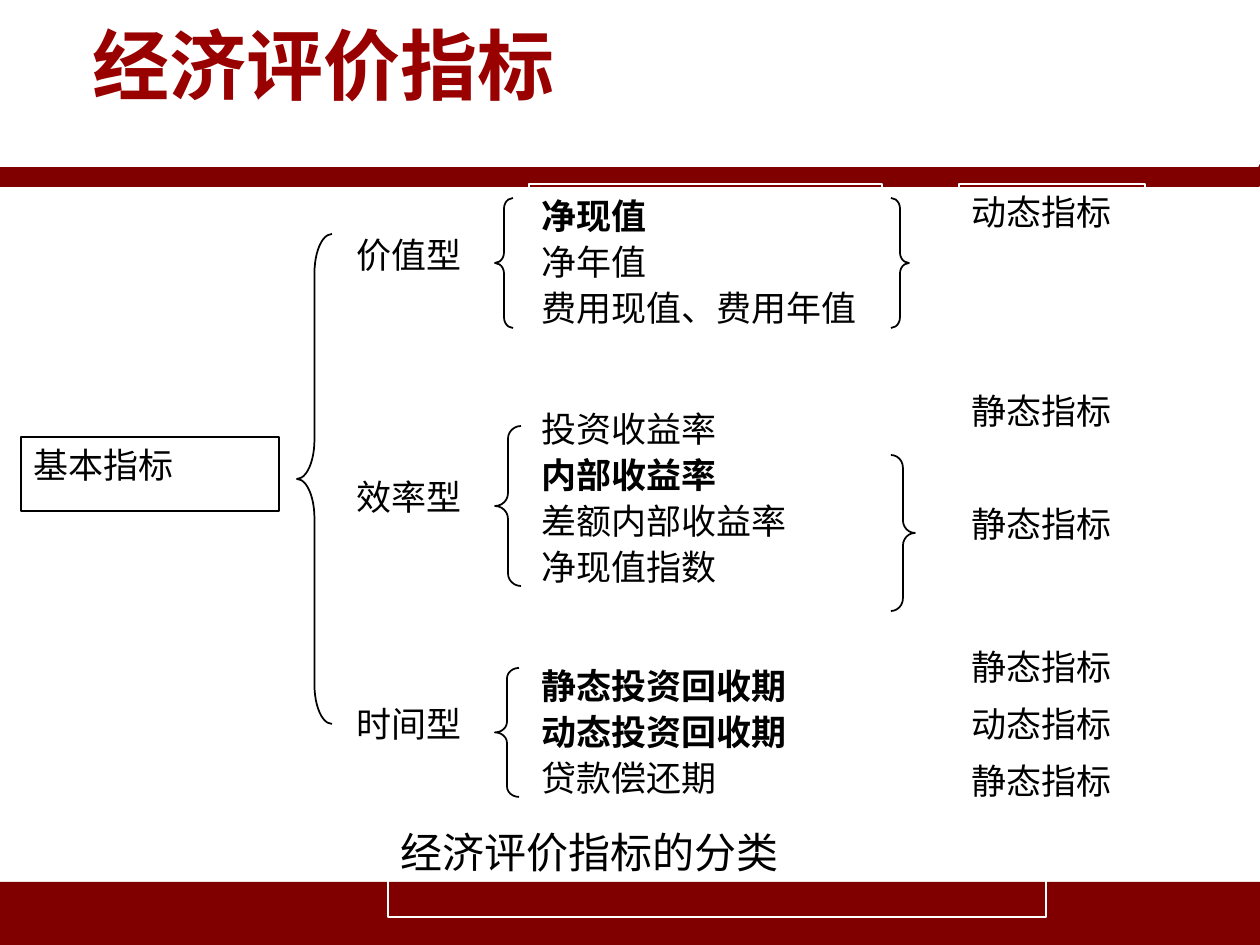
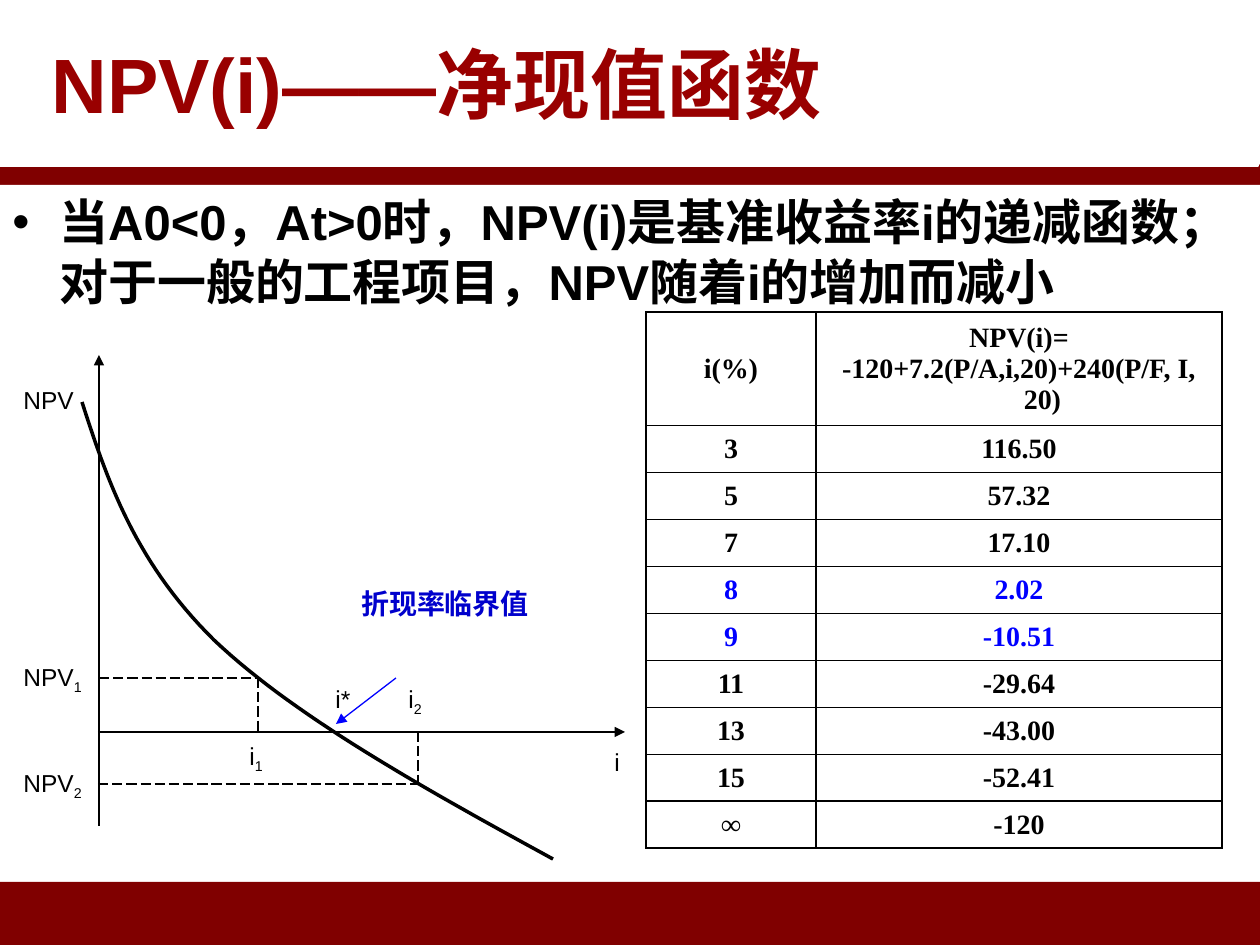
import pptx
import pptx.dml.color
import pptx.enum.dml
import pptx.enum.shapes
import pptx.enum.text
import pptx.oxml
import pptx.oxml.ns
import pptx.util

EMU_PER_PX = 914400 / 126
COLORS = {"band": "800000", "title": "990000", "paper": "FFFFFF", "ink": "000000",
          "blue": "0000FF", "note": "0000CC"}
SANS, SERIF, CJK = "Arial", "Times New Roman", "Noto Sans CJK SC"
SHAPES = pptx.enum.shapes.MSO_SHAPE
ALIGN = pptx.enum.text.PP_ALIGN
ANCHOR = pptx.enum.text.MSO_ANCHOR
TITLE = {"name": SANS, "size": 44, "bold": True, "color": "title"}
DIAGRAM = {"name": SERIF, "size": 20, "bold": False, "color": "ink"}
LABEL = {"name": SANS, "size": 14, "bold": False, "color": "ink"}


def px(value):
    """Turn px into EMU."""
    return pptx.util.Emu(round(value * EMU_PER_PX))


def rgb(name):
    """Give the named colour."""
    return pptx.dml.color.RGBColor.from_string(COLORS[name])


def add_xml(parent, tag, content="", **attributes):
    """Append a drawing element to its parent."""
    pairs = "".join(f' {key}="{value}"' for key, value in attributes.items())
    parent.append(pptx.oxml.parse_xml(
        f'<a:{tag} {pptx.oxml.ns.nsdecls("a")}{pairs}>{content}</a:{tag}>'))


def style_font(run, style):
    """Set the font of a run, with its East Asian face."""
    values = {"name": style["name"], "size": pptx.util.Pt(style["size"]), "bold": style["bold"]}
    for attribute, value in values.items():
        setattr(run.font, attribute, value)
    run.font.color.rgb = rgb(style["color"])
    add_xml(run.font._element, "ea", typeface=CJK)


def write(frame, lines, style, spacing=None, align=ALIGN.LEFT, anchor=ANCHOR.TOP):
    """Write lines, each a text or a text with font changes, into a text frame."""
    frame.word_wrap = True
    frame.vertical_anchor = anchor
    for index, line in enumerate(lines):
        text, changes = line if isinstance(line, tuple) else (line, {})
        paragraph = frame.add_paragraph() if index else frame.paragraphs[0]
        paragraph.alignment = align
        if spacing:
            paragraph.line_spacing = pptx.util.Pt(spacing)
        run = paragraph.add_run()
        run.text = text
        style_font(run, {**style, **changes})


def add_shape(slide, kind, box, fill=None, line=None, width=1.0):
    """Add a flat preset shape."""
    shape = slide.shapes.add_shape(kind, *map(px, box))
    shape.shadow.inherit = False
    paint(shape, fill, line, width)
    return shape


def paint(shape, fill, line, width):
    """Set the fill and outline of a shape."""
    for part, color in ((shape.fill, fill), (shape.line.fill, line)):
        if color:
            part.solid()
            part.fore_color.rgb = rgb(color)
        else:
            part.background()
    if line:
        shape.line.width = pptx.util.Pt(width)


def add_bands(slide):
    """Draw the shared bands and move them to the layout."""
    layout = slide.slide_layout
    for placeholder in list(layout.placeholders):
        if placeholder.placeholder_format.idx:
            layout.shapes.element.remove(placeholder.element)
    bands = [((0, 882, 1260, 63), "band", None), ((-1, 165, 1260, 21), "band", "band"),
             ((-2, 1, 1260, 165), "paper", "paper")]
    for index, (box, fill, line) in enumerate(bands):
        band = add_shape(slide, SHAPES.RECTANGLE, box, fill, line, 0.75)
        layout.shapes.element.insert(2 + index, band.element)


def add_title(slide, text, box):
    """Place and format the title placeholder."""
    title = slide.shapes.title
    for attribute, value in zip(("left", "top", "width", "height"), box):
        setattr(title, attribute, px(value))
    title.text_frame.auto_size = pptx.enum.text.MSO_AUTO_SIZE.NONE
    write(title.text_frame, [text], TITLE, anchor=ANCHOR.MIDDLE)


def add_classification(slide, left, top):
    """Draw the tree of indicators from its top left corner."""
    strong, cjk = {"bold": True}, {"name": CJK}
    entries = [
        ((0, 253, 258, 74), "ink", ["基本指标"]),
        ((323, 43, 132, 55), "paper", ["价值型"]),
        ((323, 285, 175, 57), "paper", ["效率型"]),
        ((323, 512, 137, 68), "paper", ["时间型"]),
        ((508, 0, 353, 147), "paper", [("净现值", strong), "净年值", ("费用现值、费用年值", cjk)]),
        ((508, 213, 302, 199), "paper",
         ["投资收益率", ("内部收益率", strong), "差额内部收益率", "净现值指数"]),
        ((508, 470, 297, 147), "paper",
         [("静态投资回收期", strong), ("动态投资回收期", strong), "贷款偿还期"]),
        ((938, 0, 186, 71), "paper", ["动态指标"]),
        ((938, 199, 209, 57), "paper", ["静态指标"]),
        ((938, 312, 198, 71), "paper", ["静态指标"]),
        ((938, 455, 186, 55), "paper", ["静态指标"]),
        ((938, 512, 227, 55), "paper", ["动态指标"]),
        ((938, 569, 209, 57), "paper", ["静态指标"]),
        ((367, 636, 658, 97), "paper", [("经济评价指标的分类", {"name": CJK, "size": 24})]),
    ]
    for (x, y, width, height), line, lines in entries:
        size = 24 if "分类" in lines[0][0] else 20
        box = add_shape(slide, SHAPES.RECTANGLE, (left + x, top + y, width, height), line=line)
        spacing = 26.3 if len(lines) > 1 else size * 1.2
        write(box.text_frame, lines, DIAGRAM, spacing)
    braces = [
        (SHAPES.LEFT_BRACE, (276, 50, 35, 490), 1.125),
        (SHAPES.LEFT_BRACE, (474, 14, 18, 130), 0.59),
        (SHAPES.LEFT_BRACE, (474, 242, 26, 160), 0.49),
        (SHAPES.LEFT_BRACE, (474, 484, 24, 129), 0.44),
        (SHAPES.RIGHT_BRACE, (870, 14, 18, 130), 0.59),
        (SHAPES.RIGHT_BRACE, (870, 271, 24, 156), 0.53),
    ]
    for kind, (x, y, width, height), curl in braces:
        brace = add_shape(slide, kind, (left + x, top + y, width, height), line="ink")
        brace.adjustments[0] = curl


def add_statement(slide, text, box):
    """Add the bulleted statement."""
    shape = add_shape(slide, SHAPES.RECTANGLE, box, "paper")
    properties = shape.text_frame.paragraphs[0]._p.get_or_add_pPr()
    hang(properties)
    add_xml(properties, "buFont", typeface=SANS)
    add_xml(properties, "buChar", char="•")
    write(shape.text_frame, [text], {**TITLE, "size": 28, "color": "ink"}, 34)


def hang(properties):
    """Give a paragraph its hanging indent."""
    properties.set("marL", str(px(47)))
    properties.set("indent", str(-px(47)))


def add_line(slide, start, end, color="ink", dash=False, arrow=False):
    """Add a straight line, dashed or with an arrowhead."""
    line = slide.shapes.add_connector(pptx.enum.shapes.MSO_CONNECTOR.STRAIGHT,
                                      *map(px, (*start, *end)))
    line.line.color.rgb = rgb(color)
    line.line.width = pptx.util.Pt(0.75)
    if dash:
        line.line.dash_style = pptx.enum.dml.MSO_LINE.LONG_DASH
    if arrow:
        add_xml(line.line._get_or_add_ln(), "tailEnd", type="triangle")
    add_xml(line._element.spPr, "effectLst")


def bezier(points, steps=30):
    """Sample a cubic curve given by four points."""
    weights = (1, 3, 3, 1)
    for step in range(steps + 1):
        t = step / steps
        yield tuple(sum(weight * (1 - t) ** (3 - k) * t ** k * point[axis]
                        for k, (weight, point) in enumerate(zip(weights, points)))
                    for axis in (0, 1))


def add_curve(slide, left, top):
    """Draw the falling NPV curve."""
    controls = [(71, 47), (97, 128), (125, 208), (203, 285), (283, 361), (412, 433), (542, 504)]
    samples = [*bezier(controls[:4]), *bezier(controls[3:])]
    points = [(px(left + x), px(top + y)) for x, y in samples]
    builder = slide.shapes.build_freeform(*points[0])
    builder.add_line_segments(points[1:], close=False)
    curve = builder.convert_to_shape()
    curve.shadow.inherit = False
    paint(curve, None, "ink", 2)


def add_npv_plot(slide, left, top):
    """Draw the axes, curve, guides and labels of the NPV function."""
    lines = [
        ((87, 377), (614, 377), {"arrow": True}),
        ((88, 471), (88, 0), {"arrow": True}),
        ((88, 323), (247, 323), {"dash": True}),
        ((247, 323), (247, 377), {"dash": True}),
        ((87, 429), (408, 429), {"dash": True}),
        ((407, 377), (407, 429), {"dash": True}),
        ((385, 323), (325, 369), {"arrow": True, "color": "blue"}),
    ]
    for (x1, y1), (x2, y2), options in lines:
        add_line(slide, (left + x1, top + y1), (left + x2, top + y2), **options)
    add_curve(slide, left, top)
    labels = [("NPV", "", 0, 24), ("NPV", "1", 0, 301), ("NPV", "2", 0, 407), ("i", "1", 226, 380),
              ("i", "2", 385, 323), ("i*", "", 312, 323), ("i", "", 591, 386)]
    for text, subscript, x, y in labels:
        width = 87 if text == "NPV" else 44
        label = slide.shapes.add_textbox(*map(px, (left + x, top + y, width, 42)))
        write(label.text_frame, [text], LABEL)
        if subscript:
            run = label.text_frame.paragraphs[0].add_run()
            run.text = subscript
            style_font(run, LABEL)
            run.font._element.set("baseline", "-25000")
    note = slide.shapes.add_textbox(*map(px, (left + 325, top + 225, 218, 47)))
    write(note.text_frame, ["折现率临界值"], {**LABEL, "size": 16, "bold": True, "color": "note"},
          align=ALIGN.CENTER)


def add_npv_table(slide, left, top):
    """Add the table of NPV by discount rate."""
    rows = [("i(%)", "NPV(i)=\n-120+7.2(P/A,i,20)+240(P/F, I, 20)"), ("3", "116.50"),
            ("5", "57.32"), ("7", "17.10"), ("8", "2.02"), ("9", "-10.51"), ("11", "-29.64"),
            ("13", "-43.00"), ("15", "-52.41"), ("∞", "-120")]
    widths, header_height, row_height = (170, 406), 113, 47
    height = header_height + row_height * (len(rows) - 1)
    box = map(px, (left, top, sum(widths), height))
    table = slide.shapes.add_table(len(rows), len(widths), *box).table
    table.first_row = table.horz_banding = False
    for column, width in zip(table.columns, widths):
        column.width = px(width)
    for index, values in enumerate(rows):
        table.rows[index].height = px(row_height if index else header_height)
        color = "blue" if values[0] in ("8", "9") else "ink"
        style = {"name": SERIF, "size": 16, "bold": True, "color": color}
        for cell, text in zip(table.rows[index].cells, values):
            write(cell.text_frame, text.split("\n"), style, align=ALIGN.CENTER)
            cell.vertical_anchor = ANCHOR.MIDDLE
            for paragraph in cell.text_frame.paragraphs:
                hang(paragraph._p.get_or_add_pPr())
            properties = cell._tc.get_or_add_tcPr()
            for side in ("lnL", "lnR", "lnT", "lnB"):
                ink = f'<a:solidFill><a:srgbClr val="{COLORS["ink"]}"/></a:solidFill>'
                add_xml(properties, side, ink, w=12700)
            cell.fill.background()


def build_classification_slide(slide):
    """Build the slide of indicator types."""
    add_title(slide, "经济评价指标", (80, 32, 1054, 63))
    add_classification(slide, 21, 184)


def build_npv_slide(slide):
    """Build the slide of the NPV function."""
    add_title(slide, "NPV(i)——净现值函数", (39, 1, 1126, 163))
    add_statement(slide, "当A0<0，At>0时，NPV(i)是基准收益率i的递减函数；"
                         "对于一般的工程项目，NPV随着i的增加而减小", (0, 185, 1260, 687))
    add_npv_plot(slide, 11, 355)
    add_npv_table(slide, 646, 312)


def main():
    """Build and save the presentation."""
    presentation = pptx.Presentation()
    presentation.slide_width, presentation.slide_height = px(1260), px(945)
    layout = presentation.slide_layouts[5]
    slides = [presentation.slides.add_slide(layout) for _ in range(2)]
    add_bands(slides[0])
    build_classification_slide(slides[0])
    build_npv_slide(slides[1])
    presentation.save("out.pptx")


if __name__ == "__main__":
    main()
